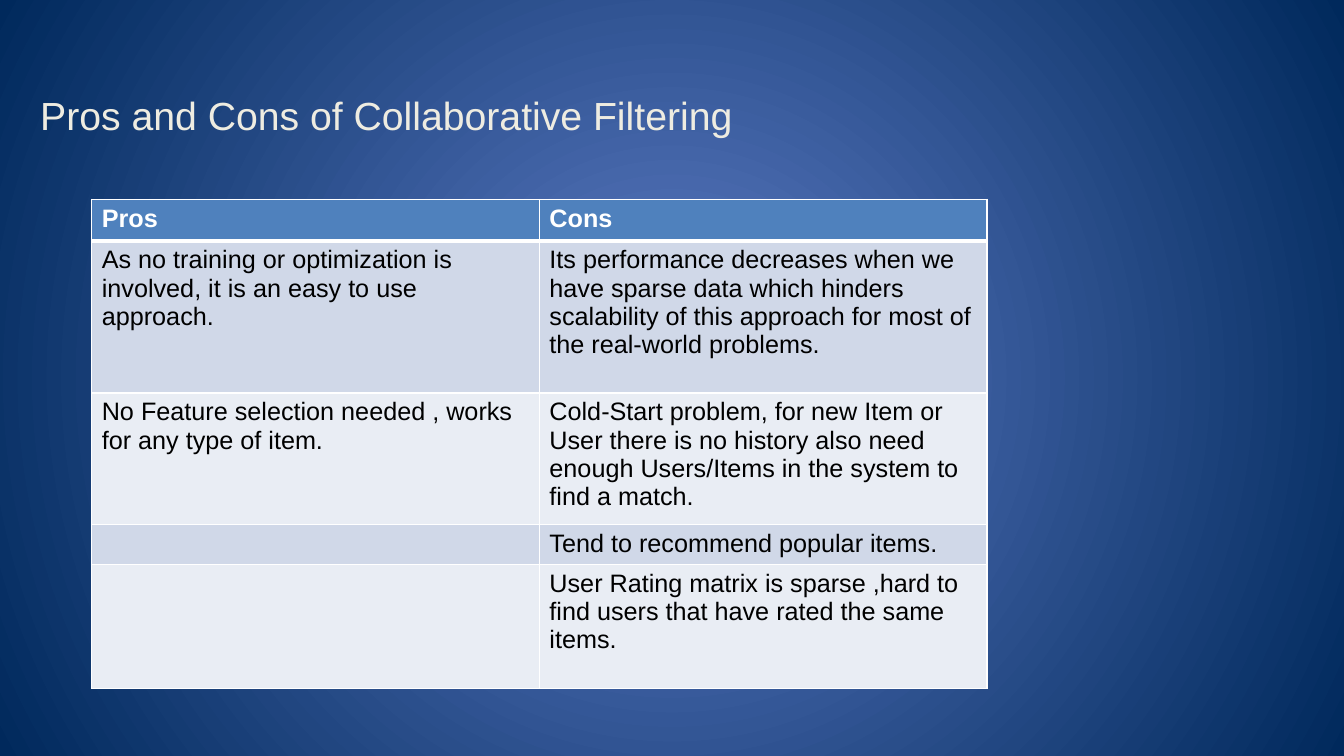
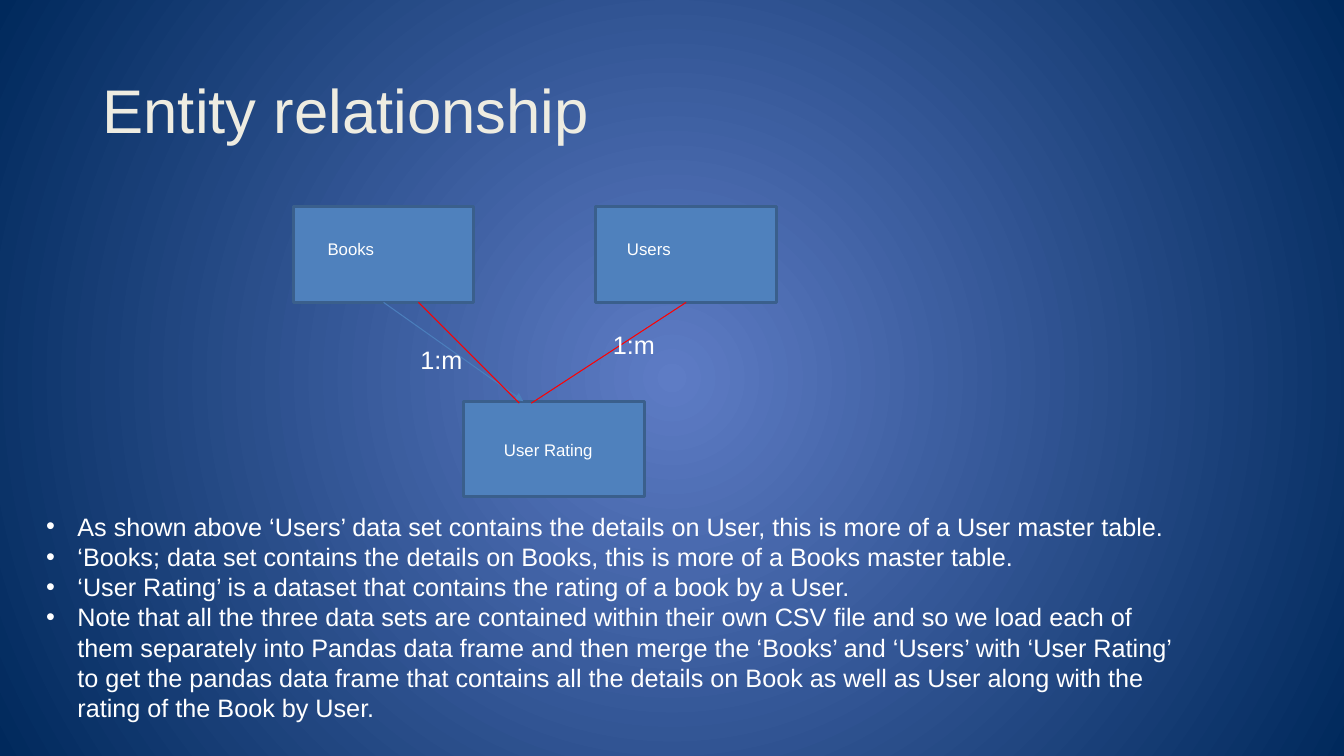
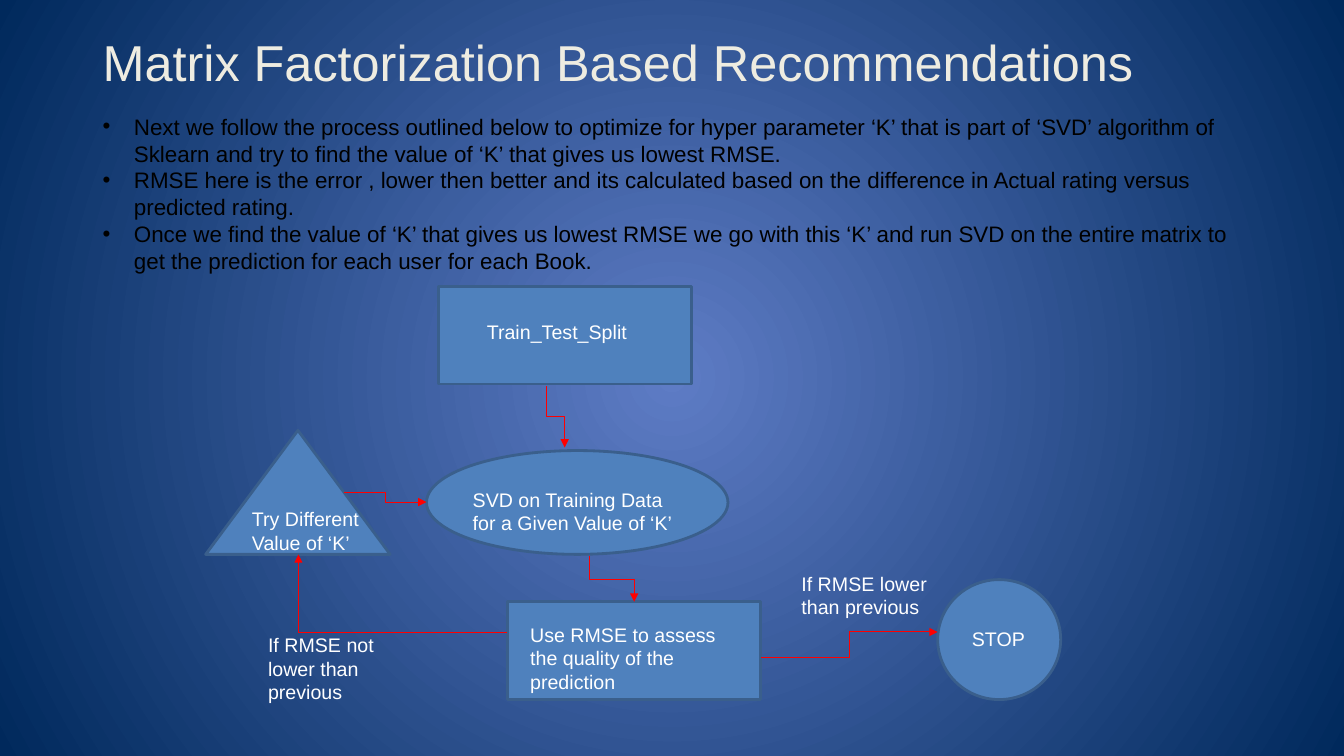
import pptx
import pptx.dml.color
import pptx.enum.shapes
import pptx.enum.text
import pptx.oxml
import pptx.oxml.ns
import pptx.util

PX = 9144  # EMU, 100 px to the inch
FONT = "Arial"
WHITE, BLACK, CREAM, RED = "FFFFFF", "000000", "EEECE1", "FF0000"
BLUE, OUTLINE, PALE_LINE = "4F81BD", "3A5F8C", "4B7EBC"
BAND_DARK, BAND_LIGHT = "D0D8E8", "E9EDF4"
GLOW, NAVY = "5E7CC5", "00295C"
NS = pptx.oxml.ns.nsdecls("a")
SHAPE = pptx.enum.shapes.MSO_SHAPE
CONNECTOR = pptx.enum.shapes.MSO_CONNECTOR
ANCHOR = pptx.enum.text.MSO_ANCHOR


def rgb(code):
    return pptx.dml.color.RGBColor.from_string(code)


def write(frame, lines, size, color, bold=False, bullets=False, spacing=None):
    """Fill a text frame with one paragraph per line."""
    frame.word_wrap = True
    for number, line in enumerate(lines):
        paragraph = frame.add_paragraph() if number else frame.paragraphs[0]
        paragraph.line_spacing = spacing
        run = paragraph.add_run()
        run.text = line
        run.font.color.rgb = rgb(color)
        font_format = {"name": FONT, "size": pptx.util.Pt(size), "bold": bold}
        for key, value in font_format.items():
            setattr(run.font, key, value)
        if bullets:
            properties = paragraph._p.get_or_add_pPr()
            properties.set("marL", str(31 * PX))
            properties.set("indent", str(-31 * PX))
            properties.append(pptx.oxml.parse_xml(f'<a:buFont {NS} typeface="Arial"/>'))
            properties.append(pptx.oxml.parse_xml(f'<a:buChar {NS} char="•"/>'))


deck = pptx.Presentation()
deck.slide_width, deck.slide_height = 1333 * PX, 750 * PX

# Shared background: a radial glow on the master
backdrop = deck.slide_master.background.fill
backdrop.gradient()
for stop, color in zip(backdrop.gradient_stops, (GLOW, NAVY)):
    stop.color.rgb = rgb(color)
gradient = deck.slide_master.element.find(".//" + pptx.oxml.ns.qn("a:gradFill"))
gradient.replace(
    gradient.find(pptx.oxml.ns.qn("a:lin")),
    pptx.oxml.parse_xml(
        f'<a:path {NS} path="circle">'
        '<a:fillToRect l="50000" t="50000" r="50000" b="50000"/></a:path>'
    ),
)

# Titles
titles = [
    ("Pros and Cons of Collaborative Filtering", 28, (30, 17, 1248, 200)),
    ("Entity relationship", 44, (92, 40, 1150, 145)),
    ("Matrix Factorization Based Recommendations", 36, (92, 3, 1193, 124)),
]
slides = []
for title, size, box in titles:
    slide = deck.slides.add_slide(deck.slide_layouts[6])
    frame = slide.shapes.add_textbox(*[v * PX for v in box]).text_frame
    frame.vertical_anchor = ANCHOR.MIDDLE
    write(frame, [title], size, CREAM, spacing=0.9)
    slides.append(slide)
comparison, entities, factorization = slides

# Pros and cons table
rows = [
    (41, "Pros", "Cons"),
    (151, "As no training or optimization is involved, it is an easy to use approach.",
     "Its performance decreases when we have sparse data which hinders scalability "
     "of this approach for most of the real-world problems."),
    (122, "No Feature selection needed , works for any type of item.",
     "Cold-Start problem, for new Item or User there is no history also need "
     "enough Users/Items in the system to find a match."),
    (40, "", "Tend to recommend popular items."),
    (123, "", "User Rating matrix is sparse ,hard to find users that have rated the same items."),
]
table_height = sum(row[0] for row in rows)
table = comparison.shapes.add_table(
    len(rows), 2, 91 * PX, 198 * PX, 888 * PX, table_height * PX
).table
for r, (height, *texts) in enumerate(rows):
    table.rows[r].height = height * PX
    band = BLUE if r == 0 else BAND_DARK if r % 2 else BAND_LIGHT
    for c, text in enumerate(texts):
        cell = table.cell(r, c)
        for side in "LRTB":
            thick = (r, side) in ((0, "B"), (1, "T"))
            width = pptx.util.Pt(3 if thick else 1)
            cell._tc.get_or_add_tcPr().append(pptx.oxml.parse_xml(
                f'<a:ln{side} {NS} w="{width}"><a:solidFill>'
                f'<a:srgbClr val="{WHITE}"/></a:solidFill></a:ln{side}>'
            ))
        cell.fill.solid()
        cell.fill.fore_color.rgb = rgb(band)
        write(cell.text_frame, [text], 18, BLACK if r else WHITE, bold=r == 0)

# Bullet lists
entity_notes = [
    "As shown above ‘Users’ data set contains the details on User, this is more of a User master table.",
    "‘Books; data set contains the details on Books, this is more of a Books master table.",
    "‘User Rating’ is a dataset that contains the rating of a book by a User.",
    "Note that all the three data sets are contained within their own CSV file and so we load each of "
    "them separately into Pandas data frame and then merge the ‘Books’ and ‘Users’ with ‘User Rating’ "
    "to get the pandas data frame that contains all the details on Book as well as User along with "
    "the rating of the Book by User.",
]
tuning_notes = [
    "Next we follow the process outlined below to optimize for hyper parameter ‘K’ that is part of "
    "‘SVD’ algorithm of Sklearn and try to find the value of ‘K’ that gives us lowest RMSE.",
    "RMSE here is the error , lower then better and its calculated based on the difference in "
    "Actual rating versus predicted rating.",
    "Once we find the value of ‘K’ that gives us lowest RMSE we go with this ‘K’ and run SVD on "
    "the entire matrix to get the prediction for each user for each Book.",
]
for slide, notes, size, color, box in (
    (entities, entity_notes, 18, WHITE, (36, 502, 1151, 222)),
    (factorization, tuning_notes, 16, BLACK, (92, 107, 1165, 199)),
):
    frame = slide.shapes.add_textbox(*[v * PX for v in box]).text_frame
    write(frame, notes, size, color, bullets=True)

# Diagrams: nodes, links, labels
entity_nodes = {
    "users": (SHAPE.RECTANGLE, (591, 205, 179, 95)),
    "books": (SHAPE.RECTANGLE, (291, 205, 179, 95)),
    "rating": (SHAPE.RECTANGLE, (460, 398, 179, 95)),
}
# start, end, colour, arrowhead, node joined at its bottom
entity_links = [
    ((381, 300), (519, 398), PALE_LINE, True, "books"),
    ((415, 300), (515, 400), RED, False, None),
    ((681, 300), (527, 400), RED, False, "users"),
]
entity_labels = [
    ("User Rating", 12, (490, 431, 138, 30)),
    ("Books", 12, (315, 232, 138, 30)),
    ("Users", 12, (612, 232, 138, 30)),
    ("1:m", 18, (407, 337, 77, 40)),
    ("1:m", 18, (598, 322, 77, 40)),
]
tuning_nodes = {
    "svd": (SHAPE.OVAL, (423, 447, 299, 103)),
    "split": (SHAPE.RECTANGLE, (435, 284, 251, 97)),
    "assess": (SHAPE.RECTANGLE, (503, 597, 251, 97)),
    "retry": (SHAPE.ISOSCELES_TRIANGLE, (204, 427, 183, 123)),
    "stop": (SHAPE.OVAL, (930, 575, 122, 119)),
}
# start, end, rotation, preset
tuning_links = [
    ((542, 383), (560, 444), 270, "bentConnector3"),
    ((503, 627), (296, 550), 180, "bentConnector2"),
    ((341, 489), (423, 498), 0, "bentConnector3"),
    ((585, 552), (629, 597), 270, "bentConnector3"),
    ((755, 652), (930, 627), 0, "bentConnector3"),
]
tuning_labels = [
    ("SVD on Training Data for a Given Value of ‘K’", 14, (459, 479, 227, 57)),
    ("Train_Test_Split", 14, (473, 312, 227, 34)),
    ("Use RMSE to assess the quality of the prediction", 14, (516, 613, 227, 81)),
    ("Try Different Value of ‘K’", 14, (240, 498, 162, 57)),
    ("If RMSE not lower than previous", 14, (256, 623, 162, 81)),
    ("STOP", 14, (954, 617, 162, 34)),
    ("If RMSE lower than previous", 14, (785, 562, 162, 57)),
]

nodes = {}
for slide, outlines in ((entities, entity_nodes), (factorization, tuning_nodes)):
    for key, (kind, box) in outlines.items():
        node = slide.shapes.add_shape(kind, *[v * PX for v in box])
        node.shadow.inherit = False
        node.fill.solid()
        node.fill.fore_color.rgb = rgb(BLUE)
        node.line.color.rgb = rgb(OUTLINE)
        node.line.width = pptx.util.Pt(2)
        nodes[key] = node

links = []
for start, end, color, arrow, origin in entity_links:
    link = entities.shapes.add_connector(
        CONNECTOR.STRAIGHT, *[v * PX for v in start + end]
    )
    if origin:
        link.begin_connect(nodes[origin], 2)
    links.append((link, color, arrow))

for (x1, y1), (x2, y2), turn, preset in tuning_links:
    # Turn the run back about its middle, so that the rotation restores it
    dx, dy = x2 - x1, y2 - y1
    run_x, run_y = {0: (dx, dy), 180: (-dx, -dy), 270: (-dy, dx)}[turn]
    corners = (x1 + x2 - run_x, y1 + y2 - run_y, x1 + x2 + run_x, y1 + y2 + run_y)
    link = factorization.shapes.add_connector(
        CONNECTOR.ELBOW, *[v * PX // 2 for v in corners]
    )
    properties = link._element.spPr
    properties.find(pptx.oxml.ns.qn("a:xfrm")).set("rot", str(turn * 60000))
    properties.find(pptx.oxml.ns.qn("a:prstGeom")).set("prst", preset)
    links.append((link, RED, True))

for link, color, arrow in links:
    link.line.color.rgb = rgb(color)
    link.line.width = pptx.util.Pt(0.75)
    if arrow:
        link.line._get_or_add_ln().append(
            pptx.oxml.parse_xml(f'<a:tailEnd {NS} type="triangle"/>')
        )
    link._element.spPr.append(pptx.oxml.parse_xml(f"<a:effectLst {NS}/>"))

for slide, labels in ((entities, entity_labels), (factorization, tuning_labels)):
    for text, size, box in labels:
        frame = slide.shapes.add_textbox(*[v * PX for v in box]).text_frame
        write(frame, [text], size, WHITE)

deck.save("out.pptx")
